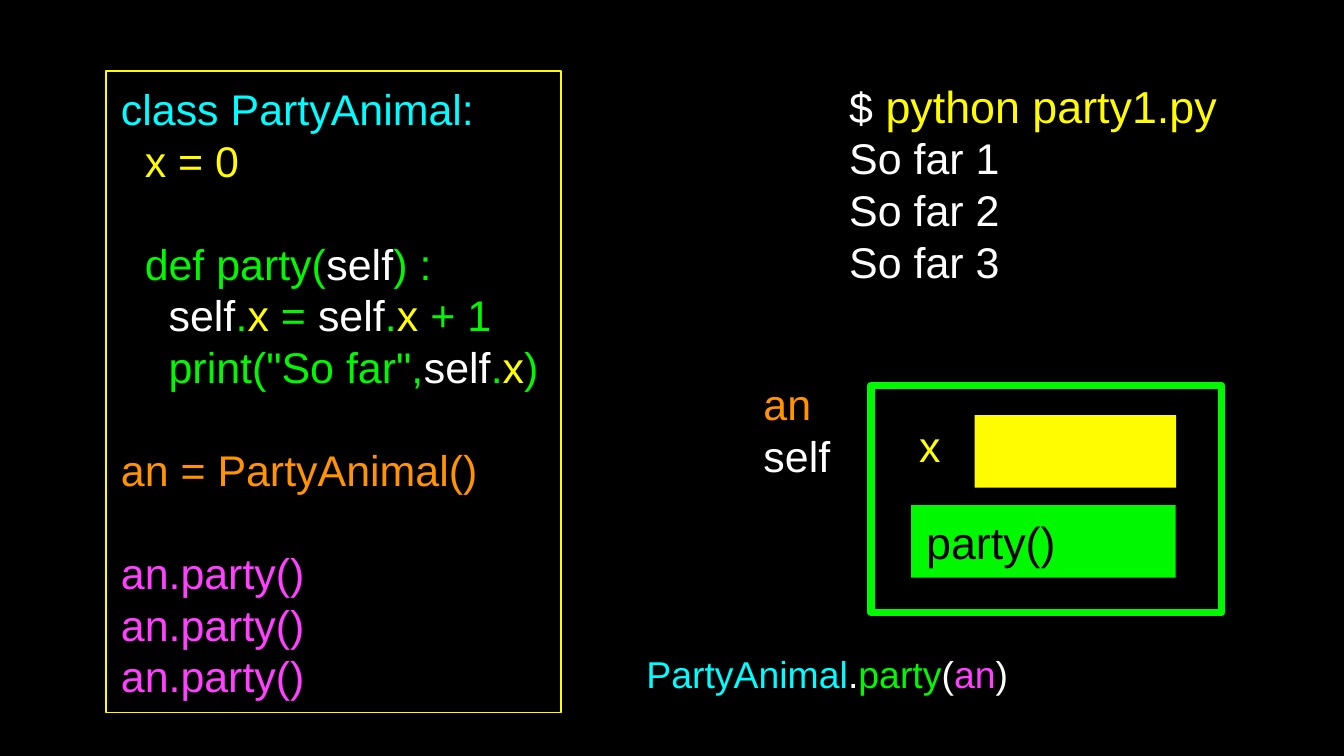
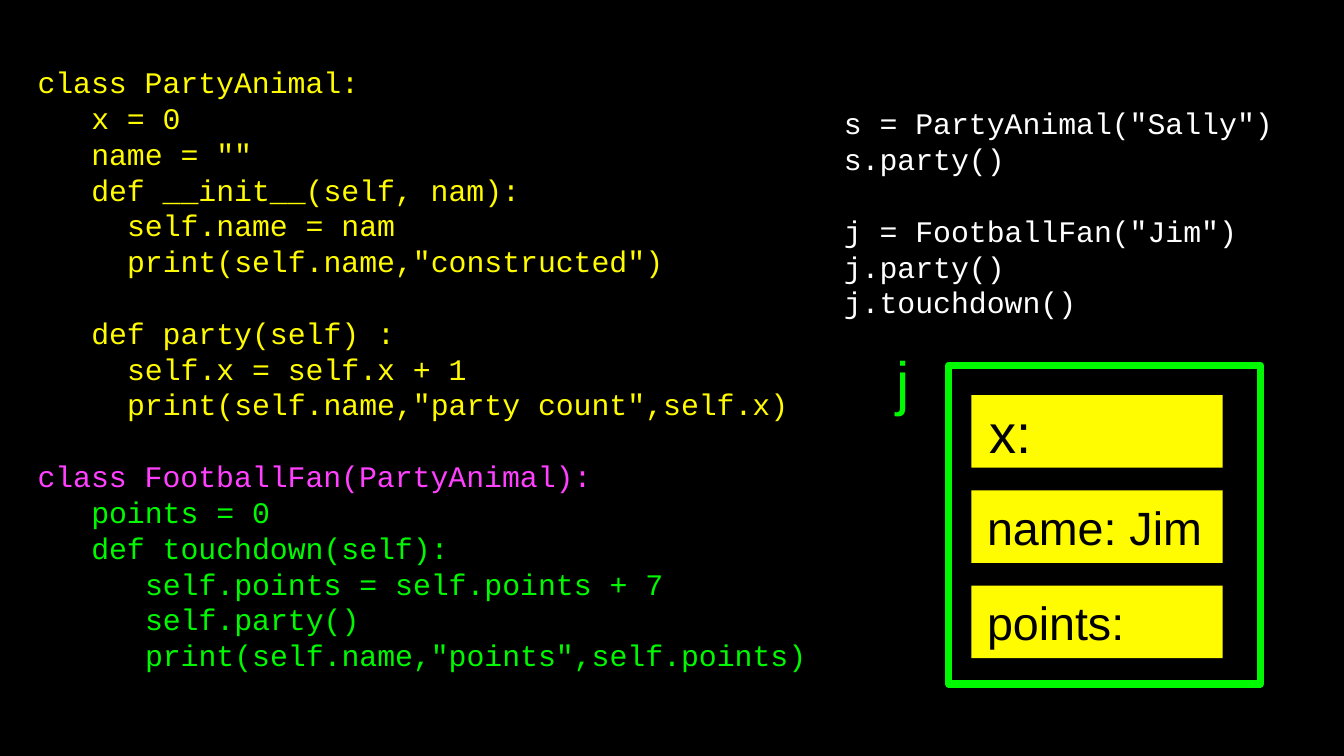
from pptx import Presentation
from pptx import util as u
from pptx.dml.color import RGBColor
from pptx.enum import shapes, text

BLACK = RGBColor(0, 0, 0)
WHITE = RGBColor(255, 255, 255)
YELLOW = RGBColor(0xFF, 0xFB, 0x00)
LEMON = RGBColor(0xFF, 0xFF, 0x00)
GREEN = RGBColor(0x00, 0xF9, 0x00)
LIME = RGBColor(0x00, 0xFA, 0x00)
CYAN = RGBColor(0x00, 0xFD, 0xFF)
ORANGE = RGBColor(0xFF, 0x93, 0x00)
PINK = RGBColor(0xFF, 0x40, 0xFF)

SANS, MONO = "Arial", "Courier New"
SPACE = {SANS: 0.278, MONO: 0.6}
LEAD = 1.2
BAR = 1.37


def inner(box, x, y, w, h):
    return box[0] + x, box[1] + y, w, h


def line(*runs, ind=0, gap=0):
    return runs, ind, gap


def write(shape, lines, size, font=SANS, mid=False, pad=(0.05, 0.05)):
    frame = shape.text_frame
    frame.word_wrap = True
    frame.vertical_anchor = text.MSO_ANCHOR.MIDDLE
    frame.margin_left = frame.margin_right = u.Cm(pad[0])
    frame.margin_top = frame.margin_bottom = u.Cm(pad[1])
    for i, (runs, ind, gap) in enumerate(lines):
        para = frame.add_paragraph() if i else frame.paragraphs[0]
        para.alignment = text.PP_ALIGN.CENTER if mid else text.PP_ALIGN.LEFT
        para.line_spacing = u.Pt(LEAD * size)
        if gap:
            para.space_before = u.Pt(gap * LEAD * size)
        if ind:
            left = u.Pt(ind * SPACE[font] * size)
            para._p.get_or_add_pPr().set("marL", str(left))
        for words, color, *own in runs:
            run = para.add_run()
            run.text = words
            run.font.name = font
            run.font.size = u.Pt(own[0] if own else size)
            run.font.color.rgb = color


def label(slide, box, lines, size, **style):
    shape = slide.shapes.add_textbox(*map(u.Cm, box))
    write(shape, lines, size, **style)
    return shape


def rect(slide, box, fill=None, edge=None, width=1):
    shape = slide.shapes.add_shape(shapes.MSO_SHAPE.RECTANGLE, *map(u.Cm, box))
    shape.shadow.inherit = False
    if fill is None:
        shape.fill.background()
    else:
        shape.fill.solid()
        shape.fill.fore_color.rgb = fill
    if edge is None:
        shape.line.fill.background()
    else:
        shape.line.color.rgb = edge
        shape.line.width = u.Pt(width)
    return shape


def bar(slide, box, fill, words, size):
    write(rect(slide, box, fill), [line((words, BLACK), ind=1)], size)


def party_code(slide, box):
    me, dot, x = ("self", WHITE), (".", GREEN), ("x", LEMON)
    call = ("an.party()", PINK)
    lines = [
        line(("class PartyAnimal:", CYAN), ind=1),
        line(("x = 0", YELLOW), ind=3),
        line(("def party(", GREEN), me, (") :", GREEN), ind=3, gap=1),
        line(me, dot, x, (" = ", GREEN), me, dot, x, (" + 1", GREEN), ind=5),
        line(('print("So far",', GREEN), me, dot, x, (")", GREEN), ind=5),
        line(("an = PartyAnimal()", ORANGE), ind=1, gap=1),
        line(call, ind=1, gap=1),
        line(call, ind=1),
        line(call, ind=1),
    ]
    write(rect(slide, box, edge=YELLOW), lines, 23)


def party_run(slide, box):
    lines = [line(("$", WHITE), (" ", WHITE, 24), ("python party1.py", YELLOW, 24))]
    lines += [line((f"So far {n}", WHITE)) for n in (1, 2, 3)]
    label(slide, box, lines, 23)


def party_call(slide, box):
    runs = [("PartyAnimal", CYAN), (".", WHITE), ("party", GREEN),
            ("(", WHITE), ("an", PINK), (")", WHITE)]
    label(slide, box, [line(*runs)], 20, mid=True)


def party_object(slide, box):
    rect(slide, box, edge=GREEN, width=4)
    rect(slide, inner(box, 1.96, 0.56, 3.81, BAR), YELLOW)
    bar(slide, inner(box, 0.76, 2.26, 5, BAR), GREEN, "party()", 24)
    label(slide, inner(box, -2.08, -0.33, 1.5, 2.31),
          [line(("an ", ORANGE), ("self", WHITE))], 23)
    label(slide, inner(box, 0.58, 0.64, 1.07, 0.97),
          [line(("x", LEMON))], 23, mid=True)


def fan_code(slide, box):
    rows = [
        ("class PartyAnimal:", YELLOW, 0, 0),
        ("x = 0", YELLOW, 3, 0),
        ('name = ""', YELLOW, 3, 0),
        ("def __init__(self, nam):", YELLOW, 3, 0),
        ("self.name = nam", YELLOW, 5, 0),
        ('print(self.name,"constructed")', YELLOW, 5, 0),
        ("def party(self) :", YELLOW, 3, 1),
        ("self.x = self.x + 1", YELLOW, 5, 0),
        ('print(self.name,"party count",self.x)', YELLOW, 5, 0),
        ("class FootballFan(PartyAnimal):", PINK, 0, 1),
        ("points = 0", GREEN, 3, 0),
        ("def touchdown(self):", GREEN, 3, 0),
        ("self.points = self.points + 7", GREEN, 6, 0),
        ("self.party()", GREEN, 6, 0),
        ('print(self.name,"points",self.points)', GREEN, 6, 0),
    ]
    lines = [line((words, color), ind=ind, gap=gap)
             for words, color, ind, gap in rows]
    label(slide, box, lines, 16, font=MONO)


def fan_use(slide, box):
    rows = [
        ('s = PartyAnimal("Sally")', 0),
        ("s.party()", 0),
        ('j = FootballFan("Jim")', 1),
        ("j.party()", 0),
        ("j.touchdown()", 0),
    ]
    lines = [line((words, WHITE), gap=gap) for words, gap in rows]
    label(slide, box, lines, 16, font=MONO)


def fan_object(slide, box):
    rect(slide, box, edge=GREEN, width=4)
    fields = [("x:", 29), ("name: Jim", 25), ("points:", 25)]
    for i, (words, size) in enumerate(fields):
        bar(slide, inner(box, 0.43, 0.56 + 1.8 * i, 4.75, BAR), YELLOW, words, size)
    name = label(slide, inner(box, -1.24, -0.53, 0.97, 1.6),
                 [line(("j", LIME))], 32, pad=(0.25, 0.13))
    name.text_frame.vertical_anchor = text.MSO_ANCHOR.TOP
    name.text_frame.auto_size = text.MSO_AUTO_SIZE.SHAPE_TO_FIT_TEXT


def party_slide(slide):
    party_code(slide, (2.01, 1.35, 8.59, 12.12))
    party_object(slide, (16.46, 7.29, 6.63, 4.29))
    party_run(slide, (16, 1.68, 8.59, 3.58))
    party_call(slide, (11.81, 12.22, 7.65, 1.04))


def fan_slide(slide):
    fan_code(slide, (0.66, 0.43, 14.86, 13.06))
    fan_use(slide, (15.9, 1.68, 9.04, 4.67))
    fan_object(slide, (17.93, 6.91, 5.89, 6.02))


def main():
    deck = Presentation()
    deck.slide_width, deck.slide_height = u.Cm(25.4), u.Cm(14.29)
    back = deck.slide_master.background.fill
    back.solid()
    back.fore_color.rgb = BLACK
    for build in (party_slide, fan_slide):
        build(deck.slides.add_slide(deck.slide_layouts[6]))
    deck.save("out.pptx")


if __name__ == "__main__":
    main()
